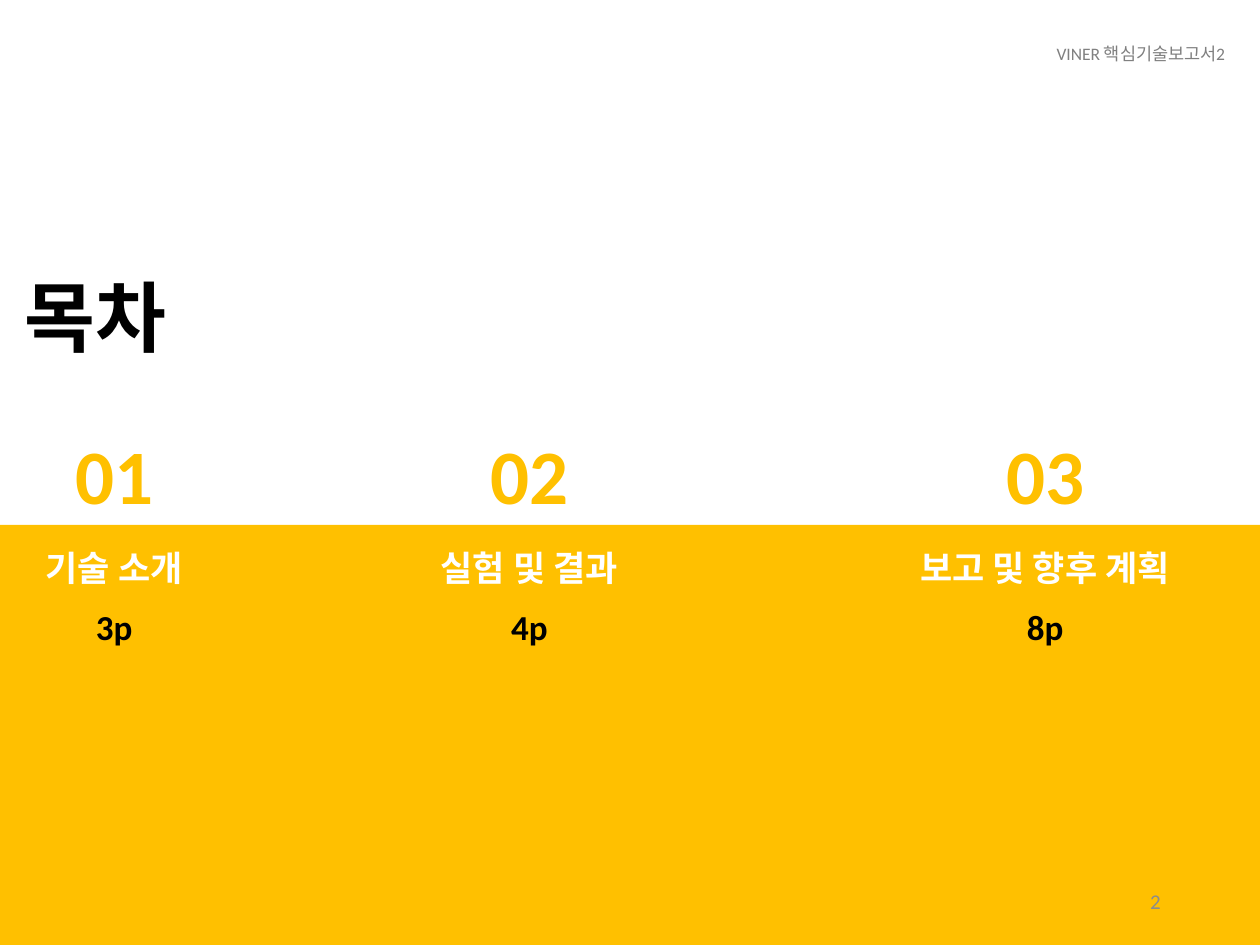
from dataclasses import dataclass

from pptx import Presentation
from pptx.dml.color import RGBColor
from pptx.enum.shapes import MSO_SHAPE
from pptx.enum.text import MSO_ANCHOR, PP_ALIGN
from pptx.oxml.ns import qn
from pptx.util import Pt

RECTANGLE = MSO_SHAPE.RECTANGLE
LEFT, CENTER, RIGHT = PP_ALIGN.LEFT, PP_ALIGN.CENTER, PP_ALIGN.RIGHT
TOP, MIDDLE = MSO_ANCHOR.TOP, MSO_ANCHOR.MIDDLE
PLAIN_TABLE_STYLE = "{2D5ABB26-0587-4C30-8999-92F81FD0307C}"
WIDTH, HEIGHT = 720, 540
COLUMN_WIDTHS = (130.5, 344, 245.5)


@dataclass(frozen=True)
class Theme:
    accent: str = "FFC000"
    dark: str = "000000"
    light: str = "FFFFFF"
    header_gray: str = "808080"
    number_gray: str = "8C8C8C"
    title_font: str = "Arial"
    body_font: str = "Calibri"
    display_size: int = 44
    label_size: int = 20
    number_size: int = 12
    header_size: int = 10


class SlideBuilder:
    def __init__(self, slide, theme):
        self.slide = slide
        self.theme = theme

    def add_run(self, paragraph, text, size, color, bold=False, align=LEFT, font=None):
        paragraph.alignment = align
        run = paragraph.add_run()
        run.text = text
        formats = {"name": font or self.theme.body_font, "size": Pt(size), "bold": bold}
        for name, value in formats.items():
            setattr(run.font, name, value)
        run.font.color.rgb = RGBColor.from_string(color)

    def band(self, left, top, width, height, color):
        shape = self.slide.shapes.add_shape(
            RECTANGLE, Pt(left), Pt(top), Pt(width), Pt(height)
        )
        shape.shadow.inherit = False
        shape.fill.solid()
        shape.fill.fore_color.rgb = RGBColor.from_string(color)
        shape.line.fill.background()

    def text(self, left, top, width, height, text, anchor=TOP, **style):
        box = self.slide.shapes.add_textbox(Pt(left), Pt(top), Pt(width), Pt(height))
        frame = box.text_frame
        for name, value in {"word_wrap": True, "vertical_anchor": anchor}.items():
            setattr(frame, name, value)
        self.add_run(frame.paragraphs[0], text, **style)

    def table_row(self, top, height, texts, fill=None, **style):
        shape = self.slide.shapes.add_table(
            1, len(texts), Pt(0), Pt(top), Pt(WIDTH), Pt(height)
        )
        table = shape.table
        for name in ("first_row", "horz_banding"):
            setattr(table, name, False)
        for style_id in shape.element.iter(qn("a:tableStyleId")):
            style_id.text = PLAIN_TABLE_STYLE
        for index, (text, width) in enumerate(zip(texts, COLUMN_WIDTHS)):
            table.columns[index].width = Pt(width)
            cell = table.cell(0, index)
            if fill:
                cell.fill.solid()
                cell.fill.fore_color.rgb = RGBColor.from_string(fill)
            else:
                cell.fill.background()
            self.add_run(
                cell.text_frame.paragraphs[0], text, bold=True, align=CENTER, **style
            )


def main():
    presentation = Presentation()
    presentation.slide_width, presentation.slide_height = Pt(WIDTH), Pt(HEIGHT)
    theme = Theme()
    slide = presentation.slides.add_slide(presentation.slide_layouts[6])
    builder = SlideBuilder(slide, theme)

    builder.band(0, 300, WIDTH, 240, theme.accent)
    builder.text(7.2, 150.5, 385, 60.5, "목차", size=theme.display_size,
                 color=theme.dark, bold=True, font=theme.title_font)
    builder.table_row(305.3, 32.4, ("기술 소개", "실험 및 결과", "보고 및 향후 계획"),
                      fill=theme.accent, size=theme.label_size, color=theme.light)
    builder.table_row(242.6, 57.6, ("01", "02", "03"),
                      size=theme.display_size, color=theme.accent)
    builder.table_row(343.4, 32.4, ("3p", "4p", "8p"),
                      fill=theme.accent, size=theme.label_size, color=theme.dark)
    builder.text(508.3, 500.5, 162, 28.8, "2", anchor=MIDDLE, align=RIGHT,
                 size=theme.number_size, color=theme.number_gray)
    builder.text(441.4, 20.9, 265.7, 19.4, "VINER 핵심기술보고서2", align=RIGHT,
                 size=theme.header_size, color=theme.header_gray)

    presentation.save("out.pptx")


if __name__ == "__main__":
    main()
